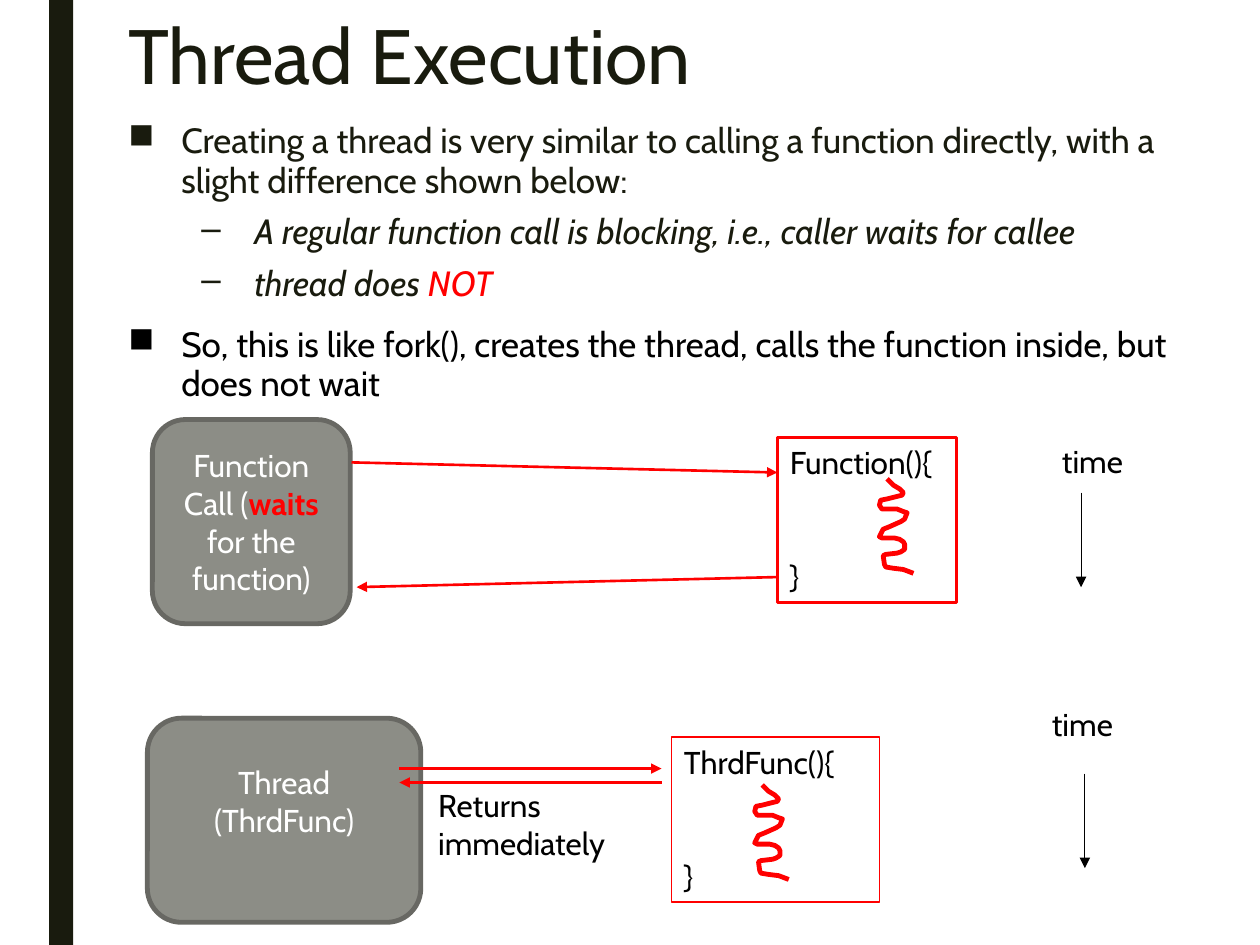
from dataclasses import dataclass
from lxml import etree
from pptx import Presentation
from pptx.dml.color import RGBColor
from pptx.enum.shapes import MSO_CONNECTOR, MSO_SHAPE
from pptx.enum.text import MSO_ANCHOR, PP_ALIGN
from pptx.oxml.ns import qn
from pptx.util import Inches, Pt

STRAIGHT = MSO_CONNECTOR.STRAIGHT
RECT, ROUNDED = MSO_SHAPE.RECTANGLE, MSO_SHAPE.ROUNDED_RECTANGLE
TOP, MIDDLE = MSO_ANCHOR.TOP, MSO_ANCHOR.MIDDLE
LEFT, CENTER = PP_ALIGN.LEFT, PP_ALIGN.CENTER
CELL = Inches(0.1)


@dataclass(frozen=True)
class Theme:
    font: str = "Cabin"
    dark: str = "191B0E"
    black: str = "000000"
    white: str = "FFFFFF"
    red: str = "FF0000"
    gray: str = "8C8D86"
    gray_edge: str = "686863"
    title: int = 44
    body: int = 20
    label: int = 18


@dataclass(frozen=True)
class Box:
    col: float
    row: float
    cols: float
    rows: float

    def sub(self, col, row, cols, rows):
        return Box(self.col + col, self.row + row, cols, rows)

    def point(self, col, row):
        return int((self.col + col) * CELL), int((self.row + row) * CELL)

    def emu(self):
        return [int(v * CELL) for v in (self.col, self.row, self.cols, self.rows)]


THEME = Theme()
PAGE = Box(0, 0, 100, 75)
SQUIGGLE = [
    (6, 0), (11, 5), (16, 8), (19, 11), (18, 13), (14, 14), (6, 16), (1, 17),
    (0, 21), (2, 24), (14, 24), (19, 26), (22, 27), (20, 32), (17, 34), (8, 38),
    (3, 40), (2, 42), (0, 46), (2, 47), (12, 47), (16, 48), (19, 50), (20, 52),
    (20, 56), (17, 58), (14, 59), (5, 60), (3, 61), (4, 68), (5, 70), (11, 71),
    (19, 72), (27, 75),
]


def apply(target, formats):
    for name, value in formats.items():
        setattr(target, name, value)


def write(paragraph, runs, size, color, **formats):
    apply(paragraph, formats)
    for words, changes in runs:
        run = paragraph.add_run()
        run.text = words
        style = {"color": color, **changes}
        run.font.color.rgb = RGBColor.from_string(style.pop("color"))
        apply(run.font, {"name": THEME.font, "size": Pt(size), **style})


def text_box(slide, box):
    frame = slide.shapes.add_textbox(*box.emu()).text_frame
    frame.word_wrap = True
    return frame


def panel(slide, box, kind, fill=None, edge=None, weight=0):
    shape = slide.shapes.add_shape(kind, *box.emu())
    shape.shadow.inherit = False
    if fill:
        shape.fill.solid()
        shape.fill.fore_color.rgb = RGBColor.from_string(fill)
    else:
        shape.fill.background()
    if edge:
        shape.line.color.rgb = RGBColor.from_string(edge)
        shape.line.width = Pt(weight)
    else:
        shape.line.fill.background()
    shape.text_frame.word_wrap = True
    return shape.text_frame


def arrow(slide, box, start, end, color, weight):
    line = slide.shapes.add_connector(STRAIGHT, *box.point(*start), *box.point(*end))
    line.line.color.rgb = RGBColor.from_string(color)
    line.line.width = Pt(weight)
    etree.SubElement(line.line._get_or_add_ln(), qn("a:tailEnd"), type="triangle")
    etree.SubElement(line._element.spPr, qn("a:effectLst"))


def squiggle(slide, box, col, row):
    builder = slide.shapes.build_freeform(*SQUIGGLE[0], scale=CELL / 10)
    builder.add_line_segments(SQUIGGLE[1:], close=False)
    wave = builder.convert_to_shape(*box.point(col, row))
    wave.shadow.inherit = False
    wave.fill.background()
    wave.line.color.rgb = RGBColor.from_string(THEME.red)
    wave.line.width = Pt(2.75)


def header(slide, box):
    panel(slide, box.sub(3.9, 0, 1.9, box.rows), RECT, fill=THEME.dark)
    title = text_box(slide, box.sub(9.2, 1, 78.8, 10.2)).paragraphs[0]
    write(title, [("Thread Execution", {})], THEME.title, THEME.dark, line_spacing=0.89)


def bullets(slide, box, items):
    frame = text_box(slide, box)
    for index, (level, runs) in enumerate(items):
        paragraph = frame.add_paragraph() if index else frame.paragraphs[0]
        write(paragraph, runs, THEME.body, THEME.dark, level=level, line_spacing=0.94,
              space_before=Pt(5 if level else 10), space_after=Pt(2))
        properties = paragraph._p.get_or_add_pPr()
        properties.set("marL", str(Inches(1 if level else 0.42)))
        properties.set("indent", str(Inches(-0.42)))
        etree.SubElement(properties, qn("a:buChar"), char="–" if level else "■")


def exchange(slide, box, caller, caller_cols, bottom, callee, callee_at, edge, wave, arrows):
    frame = panel(slide, box.sub(0, 0, caller_cols, box.rows), ROUNDED,
                  THEME.gray, THEME.gray_edge, 2.75)
    apply(frame, {"vertical_anchor": MIDDLE, "margin_bottom": Inches(bottom)})
    write(frame.paragraphs[0], caller, THEME.label, THEME.white, alignment=CENTER)

    body = box.sub(*callee_at)
    frame = panel(slide, body, RECT, edge=THEME.red, weight=edge)
    frame.vertical_anchor = TOP
    write(frame.paragraphs[0], [(callee, {})], THEME.label, THEME.black, alignment=LEFT)
    write(frame.add_paragraph(), [("}", {})], THEME.label, THEME.black,
          alignment=LEFT, space_before=Pt(43.5))
    squiggle(slide, body, *wave)
    for start, end in arrows:
        arrow(slide, box, start, end, THEME.red, 1.5)


def caption(slide, box, words):
    write(text_box(slide, box).paragraphs[0], [(words, {})], THEME.label, THEME.black)


def timeline(slide, box, col, row):
    caption(slide, box, "time")
    arrow(slide, box, (col, row), (col, row + 7.5), THEME.black, 0.5)


def build():
    deck = Presentation()
    deck.slide_width, deck.slide_height = PAGE.emu()[2:]
    slide = deck.slides.add_slide(deck.slide_layouts[6])
    header(slide, PAGE)
    bullets(slide, PAGE.sub(9.2, 9.2, 86.2, 52.6), [
        (0, [("Creating a thread is very similar to calling a function directly, "
              "with a slight difference shown below:", {})]),
        (1, [("A regular function call is blocking, i.e., caller waits for callee",
              {"italic": True})]),
        (1, [("thread does ", {"italic": True}),
             ("NOT", {"italic": True, "color": THEME.red})]),
        (0, [("So, this is like fork(), creates the thread, calls the function inside, "
              "but does not wait", {"color": THEME.black})]),
    ])
    exchange(slide, PAGE.sub(12.1, 33.3, 63.8, 16.2),
             [("Function Call (", {}), ("waits", {"color": THEME.red, "bold": True}),
              (" for the function)", {})], 15.7, 0.05,
             "Function(){", (49.6, 1.4, 14.2, 13.1), 1.5, (8.1, 3.3),
             [((15.8, 3.4), (49.6, 4.2)), ((49.6, 12.5), (16.2, 13.3))])
    thread = PAGE.sub(11.7, 57, 58.1, 16.2)
    exchange(slide, thread, [("Thread (ThrdFunc)", {})], 21.7, 0.35,
             "ThrdFunc(){", (41.6, 1.5, 16.5, 13.1), 0.75, (6.6, 3.8),
             [((20, 4), (40.8, 4)), ((40.8, 5.1), (20, 5.1))])
    caption(slide, thread.sub(22.1, 4.9, 19.3, 7.1), "Returns immediately")
    timeline(slide, PAGE.sub(83.3, 34.6, 9.2, 4), 2.5, 4.5)
    timeline(slide, PAGE.sub(82.5, 55.5, 9.2, 4), 3.6, 5.9)
    deck.save("out.pptx")


build()
